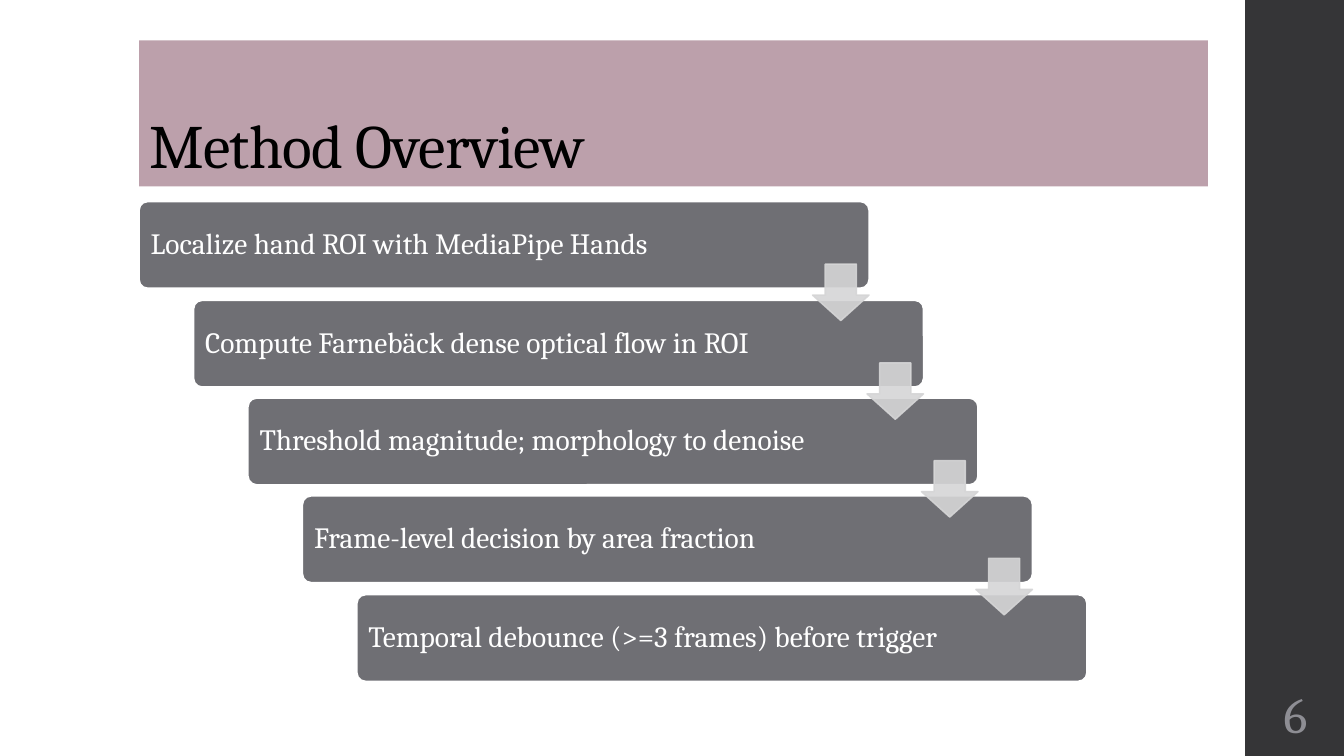
from lxml import etree
from pptx import Presentation
from pptx import util as u
from pptx.dml.color import RGBColor
from pptx.enum import shapes, text
from pptx.oxml import ns

PX = 9144
WHITE = RGBColor(0xFF, 0xFF, 0xFF)
BLACK = RGBColor(0x00, 0x00, 0x00)
SIDEBAR = RGBColor(0x35, 0x35, 0x37)
ROSE = RGBColor(0xBC, 0xA0, 0xAB)
STEP_GRAY = RGBColor(0x6F, 0x6F, 0x74)
ARROW_GRAY = RGBColor(0xD5, 0xD5, 0xD6)
NUMBER_GRAY = RGBColor(0x8E, 0x8E, 0x94)

STEPS = [
    "Localize hand ROI with MediaPipe Hands",
    "Compute Farnebäck dense optical flow in ROI",
    "Threshold magnitude; morphology to denoise",
    "Frame-level decision by area fraction",
    "Temporal debounce (>=3 frames) before trigger",
]
STEP_LEFT, STEP_TOP, STEP_WIDTH, STEP_HEIGHT = 138, 200, 724, 86
SHIFT_X, SHIFT_Y = 54, 97.5
ARROW_SIZE = 56


def add_block(kind, left, top, width, height, fill, line=None):
    block = slide.shapes.add_shape(kind, left * PX, top * PX, width * PX, height * PX)
    block.shadow.inherit = False
    block.fill.solid()
    block.fill.fore_color.rgb = fill
    if line is None:
        block.line.fill.background()
    else:
        block.line.color.rgb = line
        block.line.width = u.Pt(1.1)
    return block


def set_text(box, words, size, color, anchor, align, inset, spacing=0.9):
    frame = box.text_frame
    frame.text = words
    frame.word_wrap = True
    frame.auto_size = text.MSO_AUTO_SIZE.NONE
    frame.vertical_anchor = anchor
    frame.margin_left = frame.margin_right = inset * PX
    frame.margin_top = frame.margin_bottom = 5 * PX
    para = frame.paragraphs[0]
    para.alignment = align
    para.line_spacing = spacing
    span = para.runs[0]
    span.font.name = "Cambria"
    span.font.size = u.Pt(size)
    span.font.color.rgb = color
    return span


deck = Presentation()
deck.slide_width, deck.slide_height = 1333 * PX, 750 * PX
slide = deck.slides.add_slide(deck.slide_layouts[5])

add_block(shapes.MSO_SHAPE.RECTANGLE, 1235, 0, 98, 750, SIDEBAR)

title = slide.shapes.title
title.left, title.top, title.width, title.height = 138 * PX, 40 * PX, 1060 * PX, 145 * PX
title.fill.solid()
title.fill.fore_color.rgb = ROSE
heading = set_text(title, "Method Overview", 44, BLACK,
                   text.MSO_ANCHOR.BOTTOM, text.PP_ALIGN.LEFT, 10)
heading.font._element.set("spc", "-50")

for index, words in enumerate(STEPS):
    step = add_block(shapes.MSO_SHAPE.ROUNDED_RECTANGLE,
                     STEP_LEFT + index * SHIFT_X, round(STEP_TOP + index * SHIFT_Y),
                     STEP_WIDTH, STEP_HEIGHT, STEP_GRAY, WHITE)
    step.adjustments[0] = 0.1
    set_text(step, words, 21, WHITE, text.MSO_ANCHOR.MIDDLE, text.PP_ALIGN.LEFT, 9)

for index in range(len(STEPS) - 1):
    arrow = add_block(shapes.MSO_SHAPE.DOWN_ARROW,
                      STEP_LEFT + STEP_WIDTH - ARROW_SIZE + index * SHIFT_X,
                      round(STEP_TOP + 62 + index * SHIFT_Y),
                      ARROW_SIZE, ARROW_SIZE, ARROW_GRAY, ARROW_GRAY)
    arrow.adjustments[0] = 0.55
    arrow.adjustments[1] = 0.45
    for color in arrow._element.spPr.iter(ns.qn("a:srgbClr")):
        etree.SubElement(color, ns.qn("a:alpha")).set("val", "90000")

number = slide.shapes.add_textbox(1235 * PX, 675 * PX, 100 * PX, 65 * PX)
set_text(number, "6", 36, NUMBER_GRAY, text.MSO_ANCHOR.MIDDLE, text.PP_ALIGN.CENTER, 5, 1.0)

deck.save("out.pptx")
